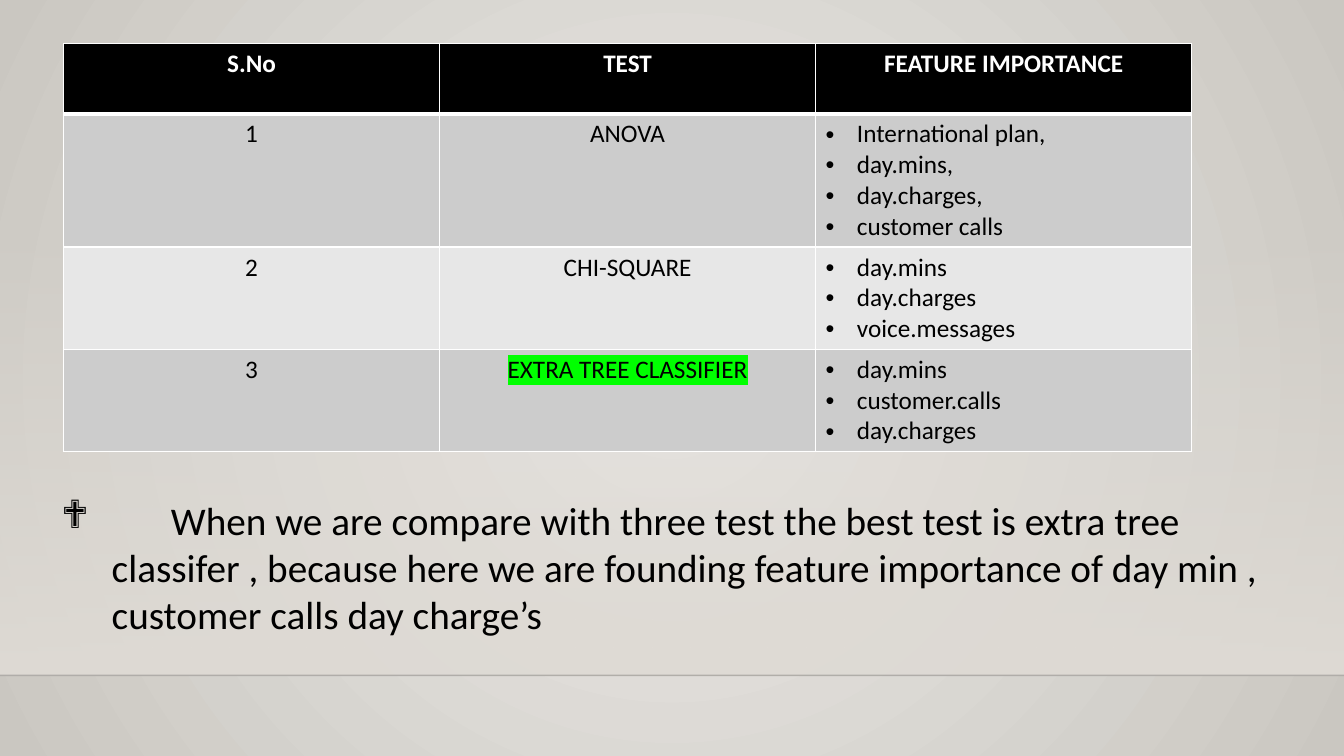
from pptx import Presentation
from pptx import util as u
from pptx.dml.color import RGBColor
from pptx.enum import shapes, text
from pptx.oxml import parse_xml
from pptx.oxml import ns

BLACK = RGBColor(0x00, 0x00, 0x00)
WHITE = RGBColor(0xFF, 0xFF, 0xFF)
RULE = RGBColor(0x00, 0x00, 0x01)
BAND_DARK = RGBColor(0xCC, 0xCC, 0xCC)
BAND_LIGHT = RGBColor(0xE7, 0xE7, 0xE7)
GREEN = RGBColor(0x00, 0xFF, 0x00)
GLOW = RGBColor(0xEC, 0xEA, 0xE7)
EDGE = RGBColor(0xCA, 0xC7, 0xC1)
WALL = RGBColor(0xDF, 0xDB, 0xD5)

FONT = "Calibri"
WIDTH, HEIGHT = 13.33, 7.5
FLOOR = 6.7
HEADERS = ["S.No", "TEST", "FEATURE IMPORTANCE"]
TESTS = [
    ("ANOVA", ["International plan,", "day.mins,", "day.charges,", "customer calls"]),
    ("CHI-SQUARE", ["day.mins", "day.charges", "voice.messages"]),
    ("EXTRA TREE CLASSIFIER", ["day.mins", "customer.calls", "day.charges"]),
]
BEST_TEST = "EXTRA TREE CLASSIFIER"
ROW_HEIGHTS = [0.7, 1.3, 1, 1]
CONCLUSION = (
    "\t When we are compare with three test the best test is extra tree classifer , "
    "because here we are founding feature importance of day min , "
    "customer calls day charge’s"
)


def make_element(tag, content="", **attributes):
    """Return a drawing element with the given inner markup."""
    listed = "".join(f' {key}="{value}"' for key, value in attributes.items())
    return parse_xml(f"<{tag}{listed} {ns.nsdecls('a', 'p')}>{content}</{tag}>")


def make_gradient(start, end, direction, start_alpha=100):
    """Return a two-stop gradient fill."""
    stops = (
        f'<a:gs pos="0"><a:srgbClr val="{start}">'
        f'<a:alpha val="{start_alpha * 1000}"/></a:srgbClr></a:gs>'
        f'<a:gs pos="100000"><a:srgbClr val="{end}"/></a:gs>'
    )
    return make_element("a:gradFill", f"<a:gsLst>{stops}</a:gsLst>{direction}", rotWithShape=1)


def replace_fill(properties, gradient):
    """Swap a solid fill for a gradient."""
    properties.replace(properties.find(ns.qn("a:solidFill")), gradient)


def write_span(para, words, size, color=BLACK, bold=False, highlight=None):
    """Add formatted text to a paragraph."""
    span = para.add_run()
    span.text = words
    span.font.name, span.font.size = FONT, u.Pt(size)
    span.font.bold = bold
    span.font.color.rgb = color
    if highlight is not None:
        mark = make_element("a:highlight", f'<a:srgbClr val="{highlight}"/>')
        span.font.fill._xPr.find(ns.qn("a:latin")).addprevious(mark)


def set_bullet(para, symbol, indent, font):
    """Give a paragraph a hanging bullet."""
    properties = para._p.get_or_add_pPr()
    properties.set("marL", str(u.Inches(indent)))
    properties.set("indent", str(-u.Inches(indent)))
    properties.append(make_element("a:buFont", typeface=font))
    properties.append(make_element("a:buChar", char=symbol))


def set_borders(cell, top, bottom):
    """Draw white borders round a cell."""
    properties = cell._tc.get_or_add_tcPr()
    sides = {"L": 1, "R": 1, "T": top, "B": bottom}
    for place, (side, points) in enumerate(sides.items()):
        line = f'<a:solidFill><a:srgbClr val="{WHITE}"/></a:solidFill>'
        properties.insert(place, make_element(f"a:ln{side}", line, w=u.Pt(points)))


def add_backdrop(page, top, floor):
    """Paint the wall, the floor and the rule between them."""
    page.background.fill.solid()
    centre = '<a:path path="circle"><a:fillToRect l="50000" t="50000" r="50000" b="50000"/></a:path>'
    replace_fill(page.background.fill._xPr, make_gradient(GLOW, EDGE, centre))

    wall = page.shapes.add_shape(
        shapes.MSO_SHAPE.RECTANGLE, 0, u.Inches(top), u.Inches(WIDTH), u.Inches(floor - top))
    wall.shadow.inherit = False
    wall.line.fill.background()
    wall.fill.solid()
    replace_fill(wall._element.spPr, make_gradient(WALL, WALL, '<a:lin ang="5400000" scaled="0"/>', 0))

    rule = page.shapes.add_connector(
        shapes.MSO_CONNECTOR.STRAIGHT, 0, u.Inches(floor), u.Inches(WIDTH), u.Inches(floor))
    rule.line.width = u.Pt(1)
    rule.line.color.rgb = RULE
    color = rule.line._ln.find(".//" + ns.qn("a:srgbClr"))
    color.append(make_element("a:alpha", val=20000))
    rule._element.spPr.append(make_element("a:effectLst"))


def fill_cell(cell, lines, fill, bulleted=False, top=1, bottom=1, **style):
    """Write lines into a table cell and format it."""
    cell.fill.solid()
    cell.fill.fore_color.rgb = fill
    set_borders(cell, top, bottom)
    for number, words in enumerate(lines):
        para = cell.text_frame.paragraphs[0] if number == 0 else cell.text_frame.add_paragraph()
        if bulleted:
            set_bullet(para, "•", 0.31, "Arial")
        else:
            para.alignment = text.PP_ALIGN.CENTER
        write_span(para, words, 18, **style)


def add_test_table(page, left, top, width):
    """Compare the tests and the features each finds important."""
    frame = page.shapes.add_table(
        len(ROW_HEIGHTS), len(HEADERS), u.Inches(left), u.Inches(top),
        u.Inches(width), u.Inches(sum(ROW_HEIGHTS)))
    table = frame.table
    for row, height in zip(table.rows, ROW_HEIGHTS):
        row.height = u.Inches(height)
    for column, title in enumerate(HEADERS):
        fill_cell(table.cell(0, column), [title], BLACK, bottom=3, color=WHITE, bold=True)
    for number, (test, features) in enumerate(TESTS, start=1):
        band = BAND_DARK if number % 2 else BAND_LIGHT
        top_border = 3 if number == 1 else 1
        highlight = GREEN if test == BEST_TEST else None
        fill_cell(table.cell(number, 0), [str(number)], band, top=top_border)
        fill_cell(table.cell(number, 1), [test], band, top=top_border, highlight=highlight)
        fill_cell(table.cell(number, 2), features, band, bulleted=True, top=top_border)


def add_conclusion(page, left, top, width, height):
    """State which test is best."""
    box = page.shapes.add_textbox(*map(u.Inches, (left, top, width, height)))
    box.text_frame.word_wrap = True
    box.text_frame.auto_size = text.MSO_AUTO_SIZE.SHAPE_TO_FIT_TEXT
    para = box.text_frame.paragraphs[0]
    set_bullet(para, "❖", 0.5, "Wingdings")
    write_span(para, CONCLUSION, 28)


def main():
    """Build and save the deck."""
    deck = Presentation()
    deck.slide_width, deck.slide_height = u.Inches(WIDTH), u.Inches(HEIGHT)
    page = deck.slides.add_slide(deck.slide_layouts.get_by_name("Blank"))
    add_backdrop(page, 2.21, FLOOR)
    add_test_table(page, 0.63, 0.43, 11.19)
    add_conclusion(page, 0.51, 4.87, 12.12, 1.51)
    deck.save("out.pptx")


if __name__ == "__main__":
    main()
